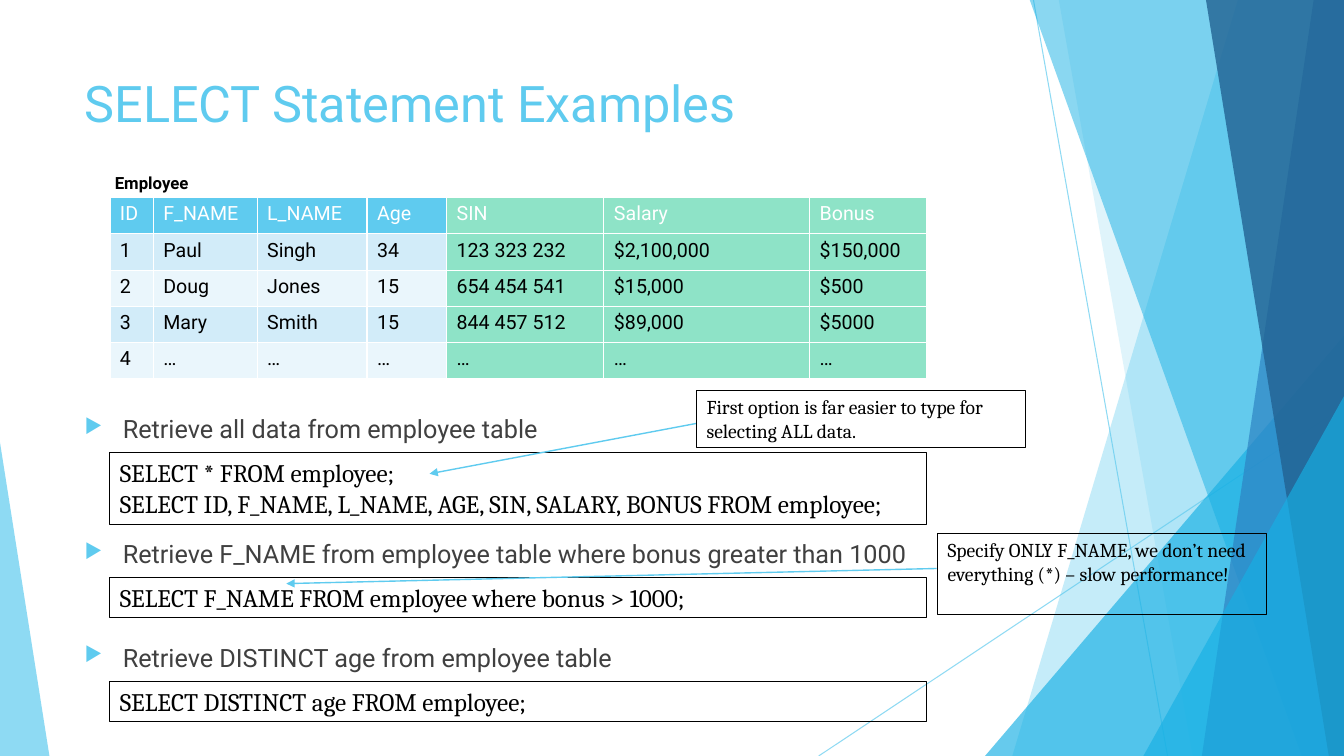
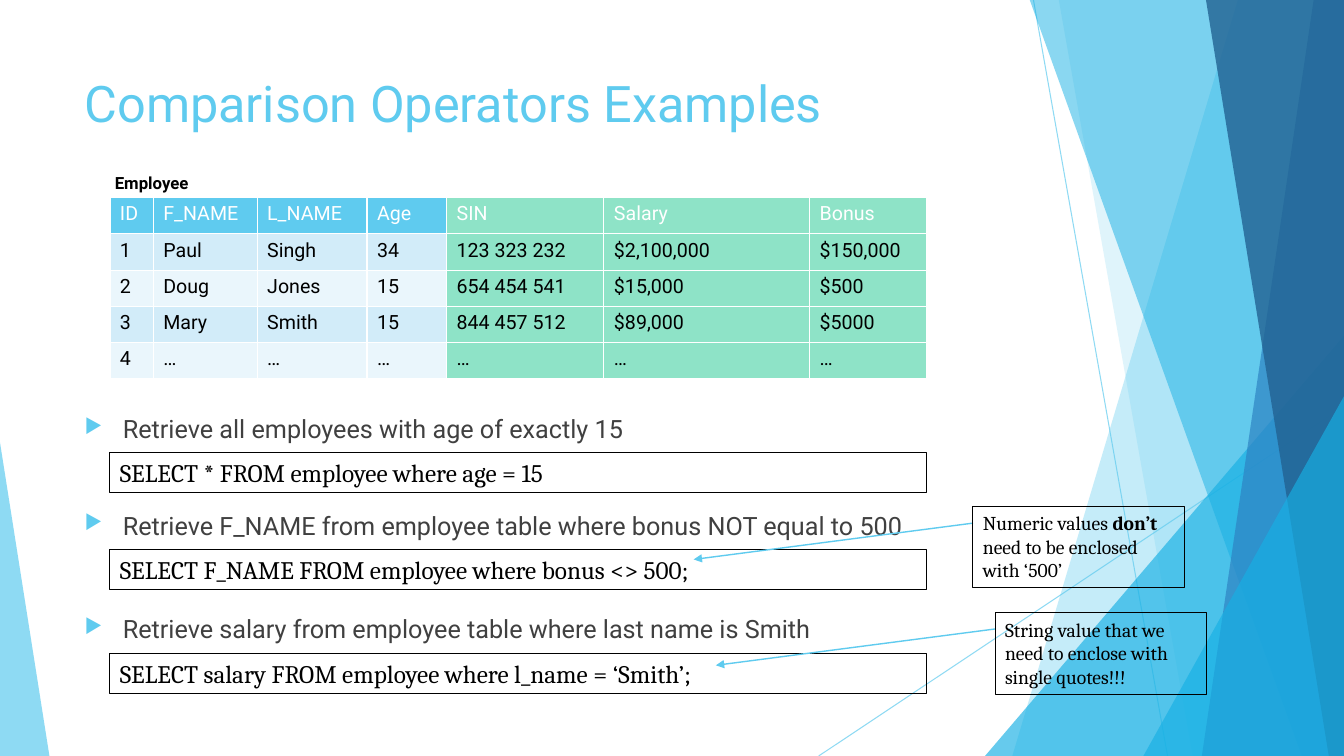
from dataclasses import dataclass
from typing import NamedTuple

from lxml.etree import SubElement
from pptx import Presentation
from pptx.dml.color import RGBColor
from pptx.enum.shapes import MSO_CONNECTOR as Connector, MSO_SHAPE as Preset
from pptx.oxml.ns import qn
from pptx.util import Emu, Pt

PX = 9144  # EMU per px, 100 px to the inch
PAGE_WIDTH, PAGE_HEIGHT = 1333, 750

SKY = RGBColor(0x5F, 0xCB, 0xEF)
CYAN = RGBColor(0x17, 0xB0, 0xE4)
BLUE = RGBColor(0x2E, 0x83, 0xC3)
NAVY = RGBColor(0x22, 0x62, 0x92)
MINT = RGBColor(0x8E, 0xE3, 0xC7)
BAND_DARK = RGBColor(0xD2, 0xEC, 0xF9)
BAND_LIGHT = RGBColor(0xEA, 0xF6, 0xFC)
GREY = RGBColor(0x40, 0x40, 0x40)
BLACK = RGBColor(0, 0, 0)
WHITE = RGBColor(0xFF, 0xFF, 0xFF)

SANS, SERIF = "Roboto", "Cambria"

CONTENT_LEFT, CONTENT_WIDTH = 74, 940
TABLE_LEFT, TABLE_TOP, ROW_HEIGHT = 109, 196, 36
COLUMN_WIDTHS = (43, 103, 109, 79, 156, 204, 116)
PLAIN_COLUMNS = 4  # the columns after these are mint
HEADING_HEIGHT, HEADING_INDENT = 44, 38
CODE_LINE_HEIGHT, CODE_PADDING = 31, 9

EMPLOYEES = (
    ("ID", "F_NAME", "L_NAME", "Age", "SIN", "Salary", "Bonus"),
    ("1", "Paul", "Singh", "34", "123 323 232", "$2,100,000", "$150,000"),
    ("2", "Doug", "Jones", "15", "654 454 541", "$15,000", "$500"),
    ("3", "Mary", "Smith", "15", "844 457 512", "$89,000", "$5000"),
    ("4", "…", "…", "…", "…", "…", "…"),
)


class Rect(NamedTuple):
    left: int
    top: int
    width: int
    height: int


class Point(NamedTuple):
    x: int
    y: int


class TextStyle(NamedTuple):
    font: str
    size: int
    color: RGBColor
    bold: bool = False


class Span(NamedTuple):
    text: str
    bold: bool = False


class Facet(NamedTuple):
    """A see-through piece of the background; two x pairs or a triangle."""
    color: RGBColor
    opacity: int
    top_left: int = 0
    bottom_left: int = 0
    triangle: Rect | None = None
    apex: float = 1.0


@dataclass(frozen=True)
class Query:
    top: int
    heading: str
    code: tuple[str, ...]


@dataclass(frozen=True)
class Callout:
    area: Rect
    spans: tuple[Span, ...]
    start: Point
    target: Point


@dataclass(frozen=True)
class Example:
    title: str
    queries: tuple[Query, ...]
    callouts: tuple[Callout, ...]


TITLE = TextStyle(SANS, 36, SKY)
CAPTION = TextStyle(SANS, 12, BLACK, True)
HEADING = TextStyle(SANS, 18, GREY)
CODE = TextStyle(SERIF, 18, BLACK)
NOTE = TextStyle(SERIF, 14, BLACK)
HEADER_CELL = TextStyle(SANS, 14, WHITE)
BODY_CELL = TextStyle(SANS, 14, BLACK)

BACKGROUND_LINES = (
    (Point(1025, 0), Point(1158, 750)),
    (Point(1333, 403), Point(812, 750)),
)
FACETS = (
    Facet(SKY, 36, 1228, 1004),
    Facet(SKY, 20, 1050, 1183),
    Facet(CYAN, 66, triangle=Rect(977, 333, 356, 417)),
    Facet(CYAN, 50, 1021, 1291),
    Facet(BLUE, 70, 1303, 1192),
    Facet(NAVY, 80, 1196, 1318),
    Facet(CYAN, 66, triangle=Rect(1134, 393, 199, 357)),
    Facet(SKY, 70, triangle=Rect(0, 439, 49, 311), apex=0.0),
)

EXAMPLES = (
    Example(
        "SELECT Statement Examples",
        (
            Query(405, "Retrieve all data from employee table", (
                "SELECT * FROM employee;",
                "SELECT ID, F_NAME, L_NAME, AGE, SIN, SALARY, BONUS FROM employee;",
            )),
            Query(529, "Retrieve F_NAME from employee table where bonus greater than 1000",
                  ("SELECT F_NAME FROM employee where bonus > 1000;",)),
            Query(632, "Retrieve DISTINCT age from employee table",
                  ("SELECT DISTINCT age FROM employee;",)),
        ),
        (
            Callout(Rect(691, 387, 326, 57),
                    (Span("First option is far easier to type for selecting ALL data."),),
                    Point(691, 420), Point(426, 470)),
            Callout(Rect(930, 529, 326, 81),
                    (Span("Specify ONLY F_NAME, we don’t need everything (*) – slow performance!"),),
                    Point(929, 564), Point(284, 579)),
        ),
    ),
    Example(
        "Comparison Operators Examples",
        (
            Query(405, "Retrieve all employees with age of exactly 15",
                  ("SELECT * FROM employee where age = 15",)),
            Query(501, "Retrieve F_NAME from employee table where bonus NOT equal to 500",
                  ("SELECT F_NAME FROM employee where bonus <> 500;",)),
            Query(604, "Retrieve salary from employee table where last name is Smith",
                  ("SELECT salary FROM employee where l_name = ‘Smith’;",)),
        ),
        (
            Callout(Rect(965, 502, 210, 81),
                    (Span("Numeric values "), Span("don’t ", True),
                     Span("need to be enclosed with ‘500’")),
                    Point(965, 519), Point(688, 555)),
            Callout(Rect(987, 608, 210, 81),
                    (Span("String value that we need to enclose with single quotes!!!"),),
                    Point(987, 624), Point(710, 660)),
        ),
    ),
)


def emu(*lengths: int) -> list[Emu]:
    return [Emu(length * PX) for length in lengths]


def set_opacity(shape, percent: int) -> None:
    for color in shape.element.iter(qn("a:srgbClr")):
        SubElement(color, qn("a:alpha"), val=str(percent * 1000))


def style_paragraph(para, style: TextStyle) -> None:
    para.font.name = style.font
    para.font.size = Pt(style.size)
    para.font.color.rgb = style.color
    para.font.bold = style.bold


def add_bullet(para) -> None:
    properties = para._p.get_or_add_pPr()
    indent = HEADING_INDENT * PX
    properties.set("marL", str(indent))
    properties.set("indent", str(-indent))
    color = SubElement(properties, qn("a:buClr"))
    SubElement(color, qn("a:srgbClr"), val=str(SKY))
    SubElement(properties, qn("a:buSzPct"), val="80000")
    SubElement(properties, qn("a:buChar"), char="▶")


def add_text(page, area: Rect, lines: tuple[tuple[Span, ...], ...], style: TextStyle,
             framed: bool = False, bulleted: bool = False) -> None:
    box = page.shapes.add_textbox(*emu(*area))
    if framed:
        box.line.color.rgb = BLACK
        box.line.width = Pt(0.75)
    frame = box.text_frame
    frame.word_wrap = True
    for index, spans in enumerate(lines):
        para = frame.add_paragraph() if index else frame.paragraphs[0]
        if bulleted:
            add_bullet(para)
        style_paragraph(para, style)
        for span in spans:
            run = para.add_run()
            run.text = span.text
            if span.bold:
                run.font.bold = True


def add_line(page, start: Point, end: Point, width: float, arrow: bool = False):
    line = page.shapes.add_connector(Connector.STRAIGHT, *emu(*start, *end))
    line.line.color.rgb = SKY
    line.line.width = Pt(width)
    properties = line.element.spPr
    if arrow:
        SubElement(properties.find(qn("a:ln")), qn("a:tailEnd"), type="triangle")
    SubElement(properties, qn("a:effectLst"))
    return line


def add_facet(page, facet: Facet) -> None:
    if facet.triangle:
        shape = page.shapes.add_shape(Preset.ISOSCELES_TRIANGLE, *emu(*facet.triangle))
        shape.adjustments[0] = facet.apex
    else:
        outline = page.shapes.build_freeform(facet.top_left, -1, scale=PX)
        outline.add_line_segments([(PAGE_WIDTH, -1), (PAGE_WIDTH, PAGE_HEIGHT),
                                   (facet.bottom_left, PAGE_HEIGHT)], close=True)
        shape = outline.convert_to_shape()
    shape.shadow.inherit = False
    shape.line.fill.background()
    shape.fill.solid()
    shape.fill.fore_color.rgb = facet.color
    set_opacity(shape, facet.opacity)


def add_background(page) -> None:
    for start, end in BACKGROUND_LINES:
        set_opacity(add_line(page, start, end, 0.75), 70)
    for facet in FACETS:
        add_facet(page, facet)


def cell_color(row: int, column: int) -> RGBColor:
    if column >= PLAIN_COLUMNS:
        return MINT
    if row == 0:
        return SKY
    return BAND_DARK if row % 2 else BAND_LIGHT


def add_cell_borders(cell) -> None:
    properties = cell._tc.get_or_add_tcPr()
    for index, side in enumerate(("lnL", "lnR", "lnT", "lnB")):
        border = properties.makeelement(qn(f"a:{side}"), {"w": str(Pt(1))})
        properties.insert(index, border)
        fill = SubElement(border, qn("a:solidFill"))
        SubElement(fill, qn("a:srgbClr"), val=str(WHITE))


def add_employee_table(page) -> None:
    area = Rect(TABLE_LEFT, TABLE_TOP, sum(COLUMN_WIDTHS), ROW_HEIGHT * len(EMPLOYEES))
    table = page.shapes.add_table(len(EMPLOYEES), len(COLUMN_WIDTHS), *emu(*area)).table
    table.first_row = table.horz_banding = False
    for column, width in zip(table.columns, emu(*COLUMN_WIDTHS)):
        column.width = width
    for row, values in enumerate(EMPLOYEES):
        for column, value in enumerate(values):
            cell = table.cell(row, column)
            cell.text = value
            style_paragraph(cell.text_frame.paragraphs[0], BODY_CELL if row else HEADER_CELL)
            cell.fill.solid()
            cell.fill.fore_color.rgb = cell_color(row, column)
            add_cell_borders(cell)
    add_text(page, Rect(104, 166, 215, 30), ((Span("Employee"),),), CAPTION)


def add_query(page, query: Query) -> None:
    heading_area = Rect(CONTENT_LEFT, query.top, CONTENT_WIDTH, HEADING_HEIGHT)
    add_text(page, heading_area, ((Span(query.heading),),), HEADING, bulleted=True)
    code_area = Rect(TABLE_LEFT, query.top + HEADING_HEIGHT, sum(COLUMN_WIDTHS),
                     CODE_PADDING + CODE_LINE_HEIGHT * len(query.code))
    add_text(page, code_area, tuple((Span(line),) for line in query.code), CODE, framed=True)


def add_example(deck, example: Example) -> None:
    page = deck.slides.add_slide(deck.slide_layouts[6])
    add_background(page)
    add_text(page, Rect(CONTENT_LEFT, 67, CONTENT_WIDTH, 144), ((Span(example.title),),), TITLE)
    add_employee_table(page)
    for query in example.queries:
        add_query(page, query)
    for callout in example.callouts:
        add_line(page, callout.start, callout.target, 1, arrow=True)
        add_text(page, callout.area, (callout.spans,), NOTE, framed=True)


def main() -> None:
    deck = Presentation()
    deck.slide_width, deck.slide_height = emu(PAGE_WIDTH, PAGE_HEIGHT)
    for example in EXAMPLES:
        add_example(deck, example)
    deck.save("out.pptx")


if __name__ == "__main__":
    main()
